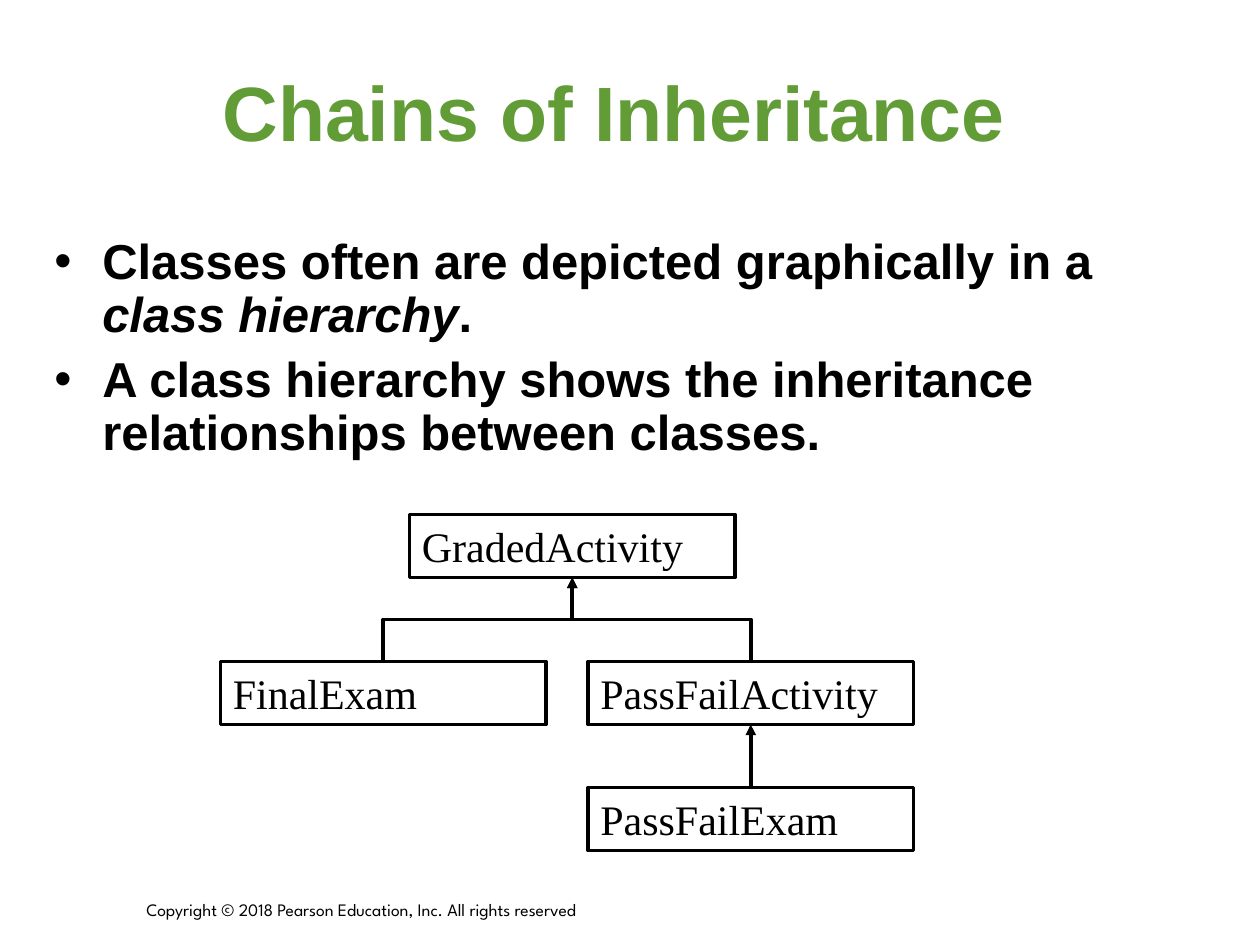
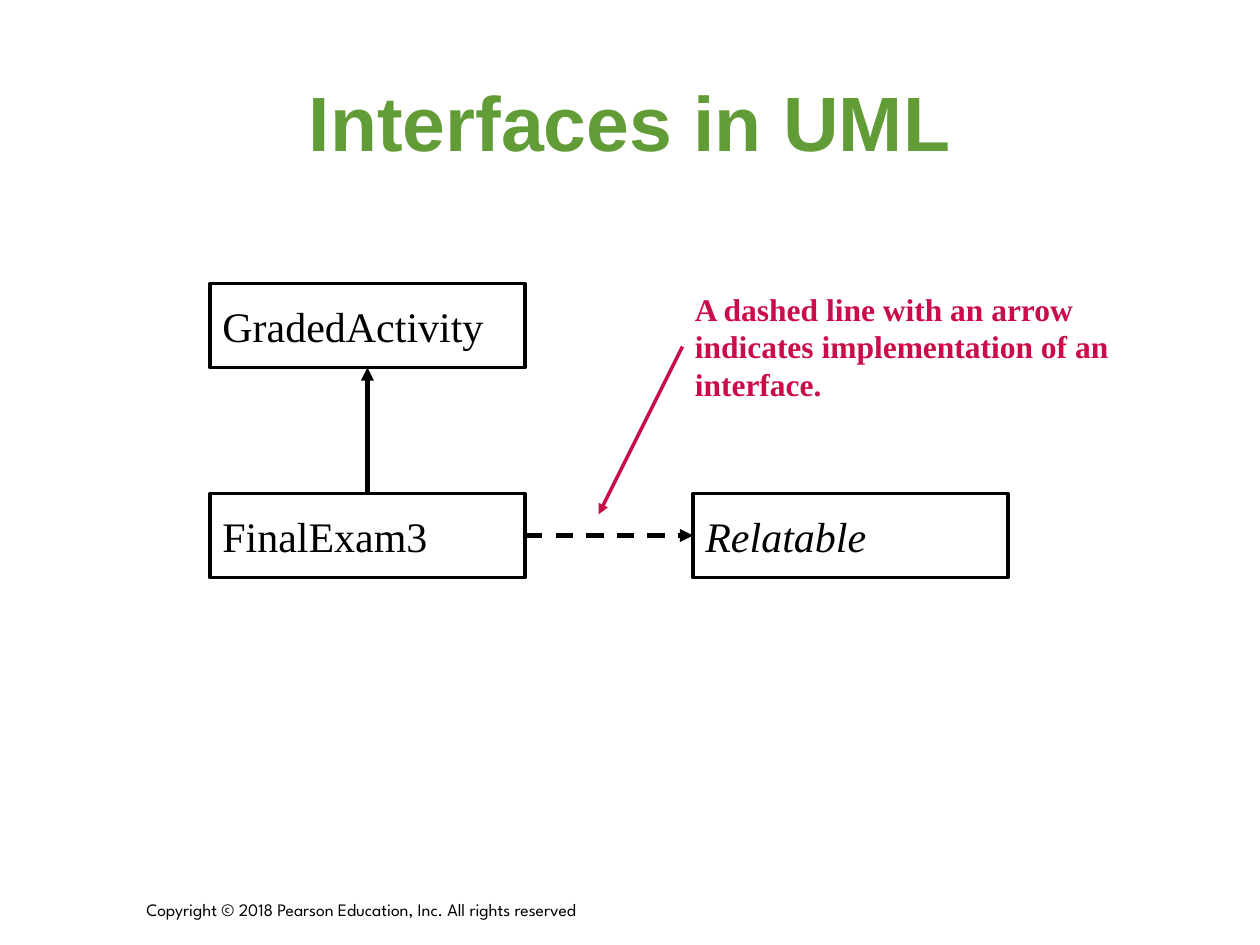
from collections import namedtuple

from lxml.etree import SubElement
from pptx import Presentation
from pptx.dml.color import RGBColor
from pptx.enum.dml import MSO_LINE
from pptx.enum.shapes import MSO_CONNECTOR, MSO_SHAPE
from pptx.enum.text import MSO_ANCHOR, MSO_AUTO_SIZE, PP_ALIGN
from pptx.oxml.ns import qn
from pptx.util import Inches, Pt

UNIT = Inches(10) // 120  # the slide is a grid of 120 columns by 90 rows
GREEN, BLACK, WHITE, CRIMSON = "629C36", "000000", "FFFFFF", "CA0C48"
SANS, SERIF, FOOTER_FONT = "Arial", "Times New Roman", "League Spartan"
TOP, LEFT, BOTTOM, RIGHT = range(4)

Box = namedtuple("Box", "left top width height")


def colour(hex_string):
    return RGBColor.from_string(hex_string)


def grid(*counts):
    return [round(count * UNIT) for count in counts]


def inside(area, left, top, width, height):
    """Box whose left and top are counted from the corner of area."""
    return Box(area.left + left, area.top + top, width, height)


def write(para, text, *, size, font, color=BLACK, bold=False, italic=False):
    span = para.add_run()
    span.text = text
    span.font.size = Pt(size)
    span.font.name = font
    span.font.color.rgb = colour(color)
    span.font.bold = bold
    span.font.italic = italic


def add_text(page, box, text="", anchor=MSO_ANCHOR.TOP, **style):
    text_box = page.shapes.add_textbox(*grid(*box))
    frame = text_box.text_frame
    frame.word_wrap = True
    frame.vertical_anchor = anchor
    if text:
        write(frame.paragraphs[0], text, **style)
    return text_box


def add_page(deck, title, title_box):
    """Title-only slide with the shared title style and copyright footer."""
    page = deck.slides.add_slide(deck.slide_layouts[5])
    heading = page.shapes.title
    heading.left, heading.top, heading.width, heading.height = grid(*title_box)
    frame = heading.text_frame
    frame.auto_size = MSO_AUTO_SIZE.NONE
    frame.vertical_anchor = MSO_ANCHOR.MIDDLE
    frame.paragraphs[0].alignment = PP_ALIGN.CENTER
    write(frame.paragraphs[0], title, size=44, font=SANS, color=GREEN, bold=True)
    add_text(page, Box(12.75, 84.2, 86, 4),
             "Copyright © 2018 Pearson Education, Inc. All rights reserved",
             MSO_ANCHOR.BOTTOM, size=10, font=FOOTER_FONT)
    return page


def add_bullets(page, box, items):
    """Bulleted list; each item is a list of (text, italic) pairs."""
    frame = add_text(page, box).text_frame
    for index, item in enumerate(items):
        para = frame.add_paragraph() if index else frame.paragraphs[0]
        properties = para._p.get_or_add_pPr()
        properties.set("marL", str(Inches(0.38)))
        properties.set("indent", str(-Inches(0.38)))
        SubElement(properties, qn("a:buFont"), typeface=SANS)
        SubElement(properties, qn("a:buChar"), char="•")
        para.line_spacing = 0.9
        para.space_before = Pt(7 if index else 0)
        for text, italic in item:
            write(para, text, size=28, font=SANS, bold=True, italic=italic)


def add_class(page, box, name, italic=False):
    shape = page.shapes.add_shape(MSO_SHAPE.RECTANGLE, *grid(*box))
    shape.shadow.inherit = False
    shape.fill.solid()
    shape.fill.fore_color.rgb = colour(WHITE)
    shape.line.color.rgb = colour(BLACK)
    shape.line.width = Pt(2)
    frame = shape.text_frame
    frame.word_wrap = True
    frame.vertical_anchor = MSO_ANCHOR.MIDDLE
    frame.paragraphs[0].alignment = PP_ALIGN.LEFT
    write(frame.paragraphs[0], name, size=24, font=SERIF, italic=italic)
    return shape


def style_arrow(connector, color=BLACK, width=2, dash=None):
    SubElement(connector._element.spPr, qn("a:effectLst"))
    line = connector.line
    line.color.rgb = colour(color)
    line.width = Pt(width)
    if dash:
        line.dash_style = dash
    SubElement(line._get_or_add_ln(), qn("a:tailEnd"), type="triangle")


def join(page, start, start_side, end, end_side, **style):
    arrow = page.shapes.add_connector(MSO_CONNECTOR.STRAIGHT, 0, 0, 0, 0)
    arrow.begin_connect(start, start_side)
    arrow.end_connect(end, end_side)
    style_arrow(arrow, **style)


def join_bent(page, child, parent):
    """Elbow arrow from the child's top up to the parent's bottom.

    An elbow runs sideways first, so it is laid out lying down and
    turned by 270 degrees about its centre.
    """
    start_x, end_x = (shape.left + shape.width // 2 for shape in (child, parent))
    start_y, end_y = child.top, parent.top + parent.height
    middle_x, middle_y = (start_x + end_x) // 2, (start_y + end_y) // 2
    half_run, half_rise = (start_x - end_x) // 2, (start_y - end_y) // 2
    arrow = page.shapes.add_connector(
        MSO_CONNECTOR.ELBOW,
        middle_x - half_rise, middle_y + half_run,
        middle_x + half_rise, middle_y - half_run)
    arrow.rotation = 270
    style_arrow(arrow)


def add_hierarchy(page, area):
    width, height = 31, 6
    right = area.width - width
    places = {
        "GradedActivity": (18, 0),
        "FinalExam": (0, 14),
        "PassFailActivity": (right, 14),
        "PassFailExam": (right, area.height - height),
    }
    classes = {name: add_class(page, inside(area, *place, width, height), name)
               for name, place in places.items()}
    join(page, classes["PassFailExam"], TOP, classes["PassFailActivity"], BOTTOM)
    for child in ("PassFailActivity", "FinalExam"):
        join_bent(page, classes[child], classes["GradedActivity"])


def add_interface_diagram(page, area):
    width, height = 30, 8
    low = area.height - height
    parent = add_class(page, inside(area, 0, 0, width, height), "GradedActivity")
    interface = add_class(page, inside(area, 46, low, width, height),
                          "Relatable", italic=True)
    child = add_class(page, inside(area, 0, low, width, height), "FinalExam3")
    join(page, child, TOP, parent, BOTTOM, width=2.5)
    join(page, child, RIGHT, interface, LEFT, width=2.5, dash=MSO_LINE.DASH)

    callout = add_text(
        page, inside(area, 45, 0, 43, 12),
        "A dashed line with an arrow indicates implementation of an interface.",
        size=18, font=SERIF, color=CRIMSON, bold=True)
    tip = grid(area.left + 37, area.top + 22)
    pointer = page.shapes.add_connector(MSO_CONNECTOR.STRAIGHT, *tip, *tip)
    pointer.begin_connect(callout, LEFT)
    style_arrow(pointer, color=CRIMSON)


def main():
    deck = Presentation()
    deck.slide_width, deck.slide_height = grid(120, 90)

    page = add_page(deck, "Chains of Inheritance", Box(4, 3, 109, 15))
    add_bullets(page, Box(4, 22, 111, 24), [
        [("Classes often are depicted graphically in a ", False),
         ("class hierarchy", True), (".", False)],
        [("A class hierarchy shows the inheritance relationships "
          "between classes.", False)],
    ])
    add_hierarchy(page, Box(21, 49, 66, 32))

    page = add_page(deck, "Interfaces in UML", Box(6, 4, 108, 15))
    add_interface_diagram(page, Box(20, 27, 88, 28))

    deck.save("out.pptx")


if __name__ == "__main__":
    main()
